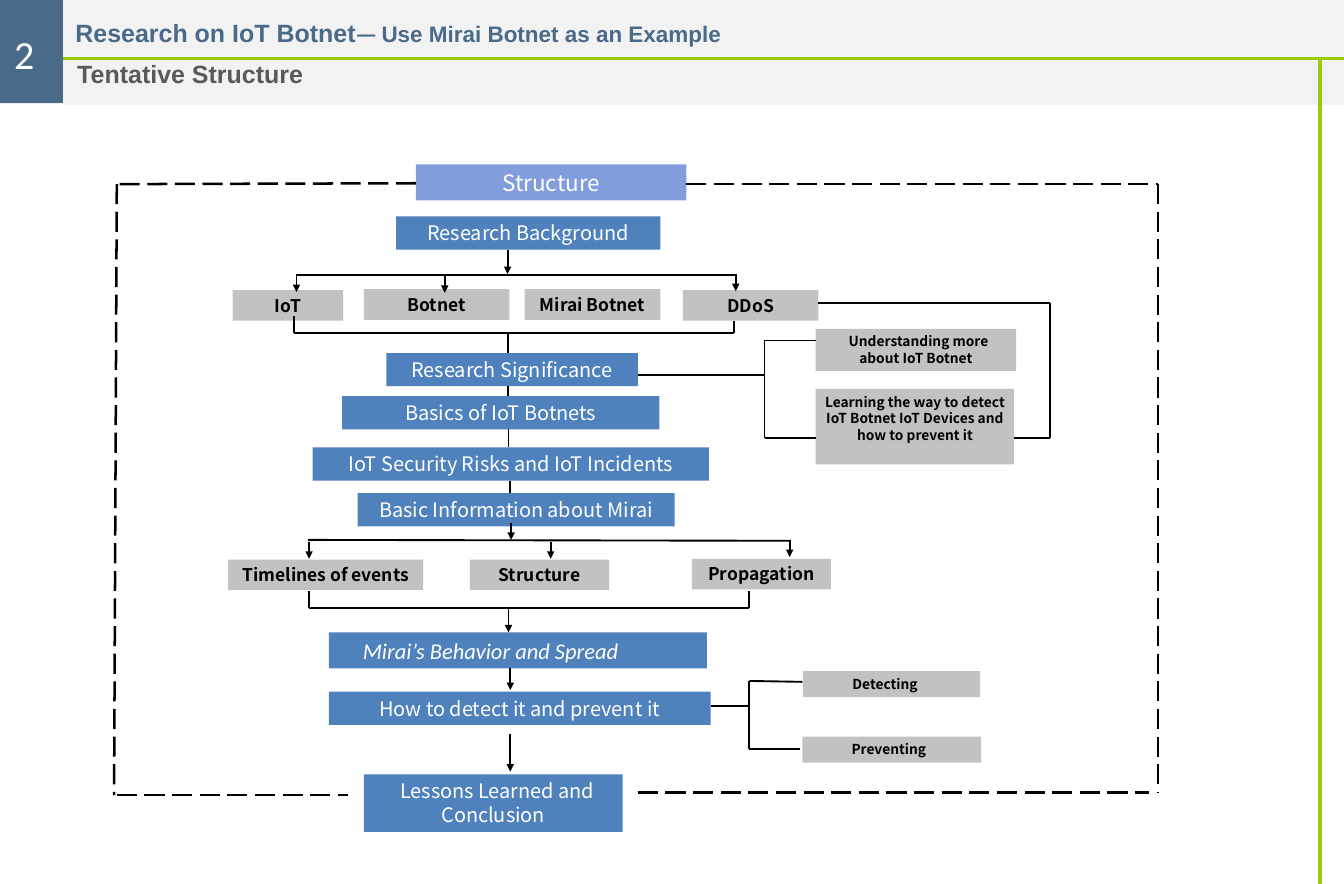
from itertools import pairwise

from lxml import etree
from pptx import Presentation
from pptx.dml.color import RGBColor
from pptx.enum.dml import MSO_LINE
from pptx.enum.shapes import MSO_CONNECTOR, MSO_SHAPE
from pptx.enum.text import MSO_ANCHOR as ANCHOR, PP_ALIGN as ALIGN
from pptx.oxml.ns import qn
from pptx.util import Inches, Pt

COLORS = {"band": "F2F2F2", "slate": "4A6A89", "green": "9ACA05", "blue": "4F81BD",
          "light_blue": "819DDC", "gray": "C2C2C2", "dark_gray": "595959",
          "white": "FFFFFF", "black": "000000"}
SANS = "Noto Sans CJK SC"

# Header: bars and texts
HEADER_BARS = [((0.7, 0, 9.27, 1.17), "band"), ((9.97, 0, 4.99, 1.17), "band"),
               ((-0.02, -0.02, 0.72, 1.17), "slate")]
HEADER_LINES = [((14.69, 0.63), (14.69, 9.84), 3.25), ((0.7, 0.65), (14.96, 0.65), 3)]
TITLE = [("Research on IoT Botnet", 20, "Arial"), ("— ", 18, SANS),
         ("Use Mirai Botnet as an Example", 18, "Arial")]

# Chapters: text, left, top, width, height, text format
CHAPTERS = [
    ("Structure", 4.63, 1.83, 3.01, 0.4, {"fill": "light_blue", "size": 18}),
    ("Research Background", 4.41, 2.41, 2.94, 0.37, {}),
    ("Research Significance", 4.3, 3.93, 2.8, 0.37, {}),
    ("Basics of IoT Botnets", 3.81, 4.41, 3.53, 0.37, {}),
    ("IoT Security Risks and IoT Incidents", 3.48, 4.98, 4.41, 0.37, {}),
    ("Basic Information about Mirai", 3.98, 5.49, 3.53, 0.37, {}),
    ("Mirai’s Behavior and Spread", 3.66, 7.04, 4.21, 0.4,
     {"size": 18, "font": "Calibri", "italic": True, "align": ALIGN.LEFT, "indent": 0.28}),
    ("How to detect it and prevent it", 3.66, 7.7, 4.25, 0.37, {}),
    ("Lessons Learned and Conclusion", 4.05, 8.62, 2.88, 0.64, {"indent": 0.09}),
]
# Topics under a chapter: text, left, top, width
TOPICS = [
    ("IoT", 2.59, 3.23, 1.23), ("Botnet", 4.05, 3.22, 1.62),
    ("Mirai Botnet", 5.84, 3.22, 1.51), ("DDoS", 7.6, 3.23, 1.51),
    ("Timelines of events", 2.54, 6.23, 2.17), ("Structure", 5.23, 6.23, 1.55),
    ("Propagation", 7.7, 6.22, 1.55),
]
# Side notes: text, left, top, width, height, text format
NOTES = [
    ("Understanding more about IoT Botnet", 9.08, 3.66, 2.23, 0.47, {"indent": 0.06}),
    ("Learning the way to detect IoT Botnet IoT Devices and how to prevent it",
     9.08, 4.33, 2.21, 0.84, {}),
    ("Detecting", 8.94, 7.47, 1.97, 0.29, {"align": ALIGN.LEFT, "indent": 0.45}),
    ("Preventing", 8.93, 8.2, 1.99, 0.29, {"align": ALIGN.LEFT, "indent": 0.45}),
]
# Solid lines as chains of points
BRANCHES = [
    [(3.29, 3.06), (8.2, 3.06)],
    [(3.27, 3.52), (3.27, 3.71), (8.17, 3.71), (8.17, 3.57)],
    [(5.65, 3.71), (5.65, 3.93)],
    [(5.65, 4.3), (5.65, 4.41)],
    [(5.66, 4.78), (5.66, 4.98)],
    [(5.68, 5.35), (5.68, 5.49)],
    [(3.43, 6.01), (8.8, 6.02)],
    [(3.44, 6.58), (3.44, 6.77), (8.34, 6.77), (8.34, 6.58)],
    [(7.1, 4.17), (8.51, 4.17)],
    [(9.08, 3.79), (8.51, 3.79), (8.51, 4.88), (9.08, 4.88)],
    [(9.11, 3.37), (11.69, 3.37), (11.69, 4.88), (11.29, 4.88)],
    [(7.91, 7.86), (8.34, 7.86)],
    [(8.93, 7.59), (8.34, 7.58), (8.34, 8.34), (8.91, 8.34)],
]
# Downward arrows: x, top, bottom
ARROWS = [(5.65, 2.78, 3.05), (3.3, 3.06, 3.25), (4.95, 3.07, 3.26), (8.19, 3.07, 3.24),
          (5.69, 5.82, 6.01), (3.44, 6.03, 6.22), (6.13, 6.03, 6.22), (8.79, 6.01, 6.2),
          (5.66, 6.77, 7.04), (5.68, 7.44, 7.68), (5.68, 8.17, 8.59)]
# Dashed frame as chains of points
FRAME = [[(7.64, 2.05), (12.89, 2.05), (12.89, 8.82)], [(7.1, 8.82), (12.79, 8.82)],
         [(4.63, 2.04), (1.3, 2.05), (1.27, 8.85)], [(1.3, 8.85), (3.87, 8.85)]]

presentation = Presentation()
presentation.slide_width, presentation.slide_height = Inches(14.96), Inches(9.84)
slide = presentation.slides.add_slide(presentation.slide_layouts[6])


def rgb(name):
    return RGBColor.from_string(COLORS[name])


def add_run(paragraph, text, size, font, color, bold=False, italic=False):
    run = paragraph.add_run()
    run.text = text
    run.font.size, run.font.name = Pt(size), font
    run.font.bold, run.font.italic = bold, italic
    run.font.color.rgb = rgb(color)
    properties = run.font._element
    etree.SubElement(properties, qn("a:ea")).set("typeface", font)


def add_bar(box, fill):
    shape = slide.shapes.add_shape(MSO_SHAPE.RECTANGLE, *map(Inches, box))
    shape.shadow.inherit = False
    shape.fill.solid()
    shape.fill.fore_color.rgb = rgb(fill)
    shape.line.fill.background()
    return shape


def add_box(text, *box, fill="blue", size=16, font=SANS, color="white", bold=False,
            italic=False, align=ALIGN.CENTER, indent=0):
    frame = add_bar(box, fill).text_frame
    frame.word_wrap, frame.vertical_anchor = True, ANCHOR.TOP
    paragraph = frame.paragraphs[0]
    paragraph.alignment, paragraph.line_spacing = align, Pt(1.2 * size)
    if indent:
        paragraph._p.get_or_add_pPr().set("indent", str(Inches(indent)))
    add_run(paragraph, text, size, font, color, bold, italic)


def add_label(box, runs, color, bold=True, anchor=ANCHOR.TOP, wrap=True, margins=(0.1, 0.05)):
    frame = slide.shapes.add_textbox(*map(Inches, box)).text_frame
    frame.word_wrap, frame.vertical_anchor = wrap, anchor
    frame.margin_left = frame.margin_right = Inches(margins[0])
    frame.margin_top = frame.margin_bottom = Inches(margins[1])
    for text, size, font in runs:
        add_run(frame.paragraphs[0], text, size, font, color, bold)


def add_line(start, end, color="black", width=1.5, dashed=False, arrow=False):
    line = slide.shapes.add_connector(MSO_CONNECTOR.STRAIGHT, *map(Inches, start + end))
    line.line.color.rgb, line.line.width = rgb(color), Pt(width)
    if dashed:
        line.line.dash_style = MSO_LINE.LONG_DASH
    if arrow:
        etree.SubElement(line.line._get_or_add_ln(), qn("a:tailEnd")).set("type", "triangle")
    etree.SubElement(line._element.spPr, qn("a:effectLst"))


# Header
for bar, fill in HEADER_BARS:
    add_bar(bar, fill)
for start, end, width in HEADER_LINES:
    add_line(start, end, color="green", width=width)
add_label((0.74, 0.12, 10.45, 0.46), TITLE, "slate", anchor=ANCHOR.BOTTOM)
add_label((0.06, 0.28, 0.43, 0.64), [("2", 32, "Calibri")], "white", bold=False, wrap=False)
add_label((0.72, 0.58, 4.34, 0.48), [("Tentative Structure", 20, "Arial")], "dark_gray",
          anchor=ANCHOR.MIDDLE, margins=(0.14, 0.07))

# Boxes
for *box, style in CHAPTERS:
    add_box(*box, **style)
for topic in TOPICS:
    add_box(*topic, 0.34, fill="gray", size=14, color="black", bold=True)
for *box, style in NOTES:
    add_box(*box, fill="gray", size=11, color="black", bold=True, **style)

# Lines, arrows and frame
for chain in BRANCHES:
    for start, end in pairwise(chain):
        add_line(start, end)
for x, top, bottom in ARROWS:
    add_line((x, top), (x, bottom), arrow=True)
for chain in FRAME:
    for start, end in pairwise(chain):
        add_line(start, end, width=2, dashed=True)

presentation.save("out.pptx")
